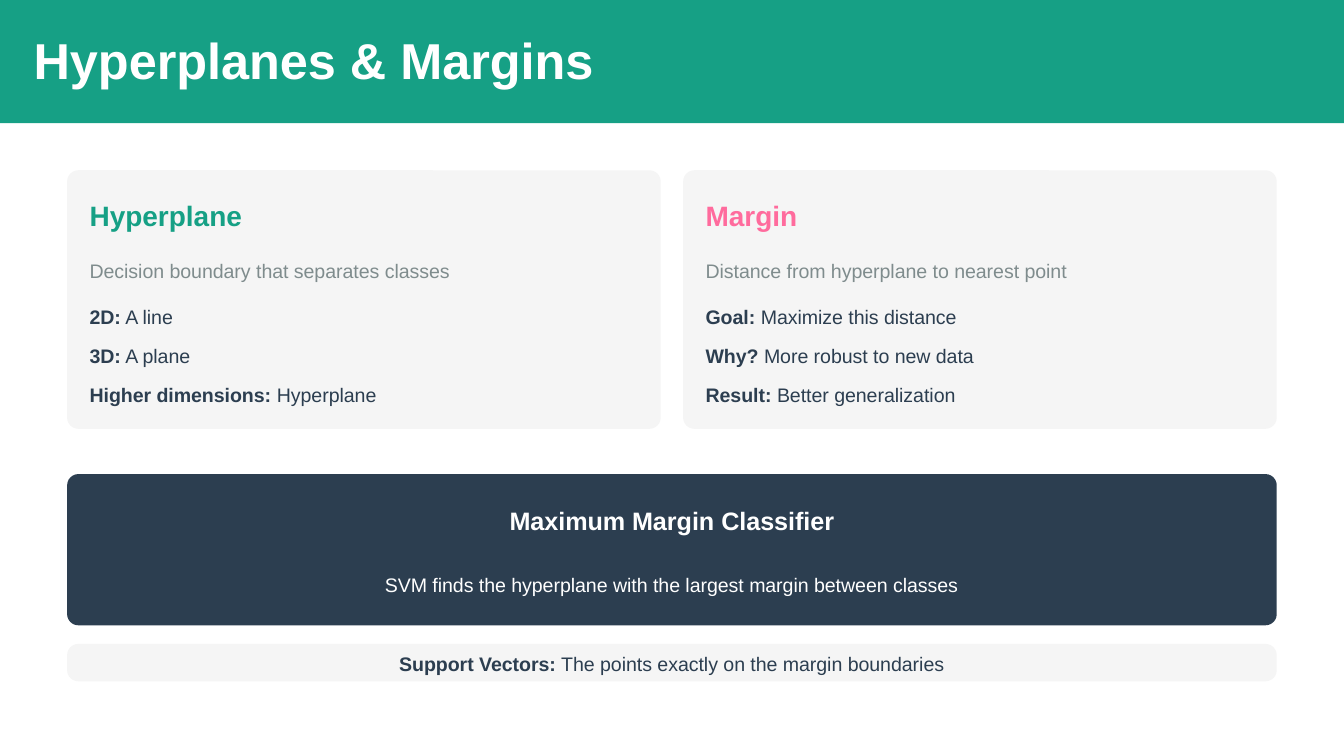
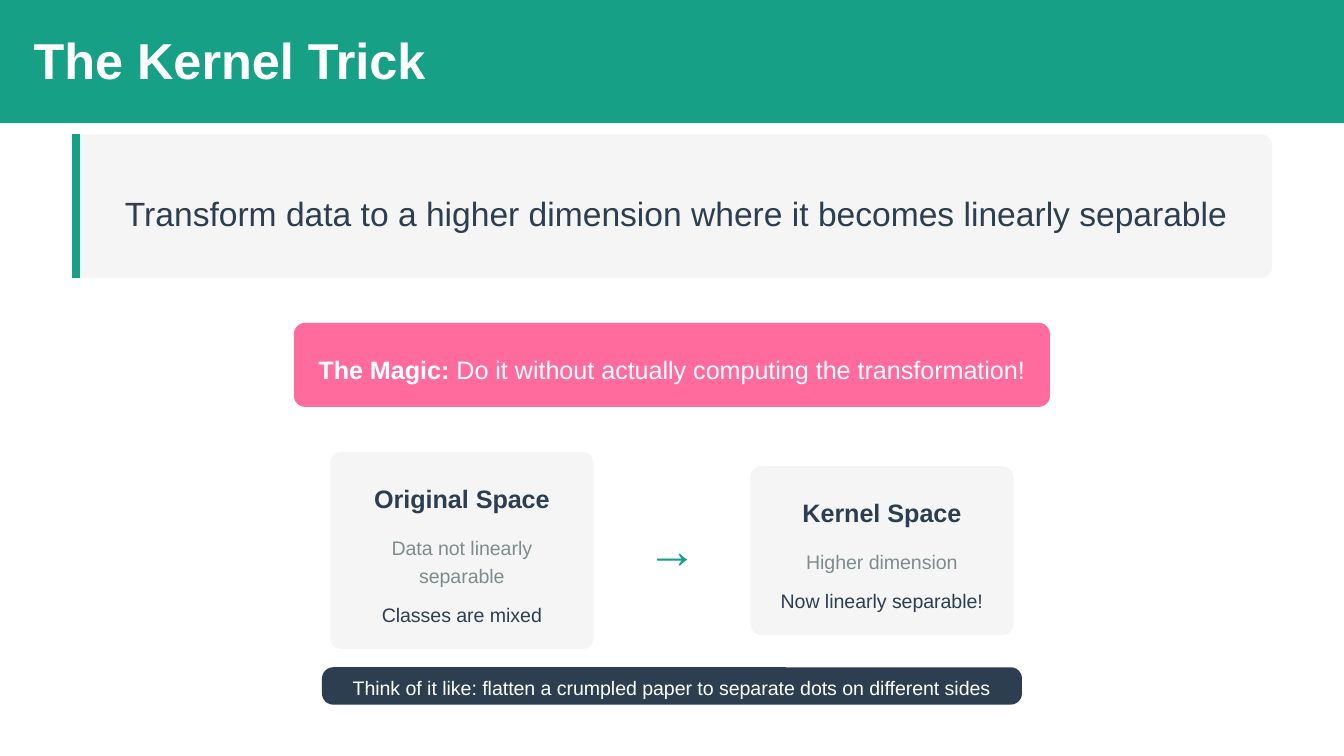
from collections import namedtuple

from lxml import etree
from pptx import Presentation
from pptx.dml.color import RGBColor
from pptx.enum.shapes import MSO_CONNECTOR as Link, MSO_SHAPE as Kind
from pptx.enum.text import PP_ALIGN as Align
from pptx.oxml.ns import qn
from pptx.util import Pt

GREEN = RGBColor(0x16, 0xA0, 0x85)
PINK = RGBColor(0xFF, 0x6B, 0x9D)
NAVY = RGBColor(0x2C, 0x3E, 0x50)
GRAY = RGBColor(0x7F, 0x8C, 0x8D)
PALE = RGBColor(0xF5, 0xF5, 0xF5)
WHITE = RGBColor(0xFF, 0xFF, 0xFF)

FONT = "Arial"
WIDE, HIGH = 720, 405
RADIUS = 6
PAD = 12

Box = namedtuple("Box", "x y w h")
# Type styles: size, line spacing, bold
Style = namedtuple("Style", "size line bold")
TITLE = Style(27, 30, True)
ARROW = Style(27, 30, False)
QUOTE = Style(18, 28.8, False)
TOPIC = Style(15, 21, True)
HEAD = Style(13.5, 21, True)
LEAD = Style(13.5, 21, False)
BODY = Style(10.5, 15, False)


def centre(y, w, h, mid=WIDE / 2):
    return Box(mid - w / 2, y, w, h)


def panel(slide, box, fill, kind=Kind.ROUNDED_RECTANGLE):
    shape = slide.shapes.add_shape(kind, *map(Pt, box))
    shape.shadow.inherit = False
    shape.fill.solid()
    shape.fill.fore_color.rgb = fill
    shape.line.fill.background()
    if kind == Kind.ROUNDED_RECTANGLE:
        shape.adjustments[0] = RADIUS / box.h


def write(slide, box, text, style, color, align=Align.CENTER, lead=""):
    """Place one paragraph, with an optional bold lead-in."""
    frame = slide.shapes.add_textbox(*map(Pt, box)).text_frame
    frame.word_wrap = True
    frame.margin_left = frame.margin_right = 0
    frame.margin_top = frame.margin_bottom = 0
    para = frame.paragraphs[0]
    para.alignment = align
    para.line_spacing = Pt(style.line)
    font = para.font
    font.name, font.size, font.bold = FONT, Pt(style.size), style.bold
    font.color.rgb = color
    if lead:
        run = para.add_run()
        run.text = lead
        run.font.bold = True
        text = " " + text
    para.add_run().text = text


def header(slide, title):
    panel(slide, Box(0, 0, WIDE, 66), GREEN, Kind.RECTANGLE)
    write(slide, Box(18, 18, 350, 30), title, TITLE, WHITE, Align.LEFT)


def strip(slide, box, fill, color, text, lead=""):
    """Thin bar with one centred line inside its padding."""
    panel(slide, box, fill)
    place = Box(box.x + PAD, box.y + 2, box.w - 2 * PAD, 15)
    write(slide, place, text, BODY, color, lead=lead)


# Term card: topic, definition, list of facts
def term(slide, box, topic, color, about, facts):
    panel(slide, box, PALE)

    def row(top, *args, h=15, **more):
        place = Box(box.x + PAD, box.y + top, box.w - 18, h)
        write(slide, place, *args, Align.LEFT, **more)

    row(PAD, topic, TOPIC, color, h=21)
    row(45, about, BODY, GRAY)
    for i, (lead, text) in enumerate(facts):
        row(69.5 + 21 * i, text, BODY, NAVY, lead=lead)


def banner(slide, box, head, text):
    panel(slide, box, NAVY)
    write(slide, centre(box.y + PAD, 178.5, 21), head, HEAD, WHITE)
    write(slide, centre(box.y + 50.75, 315.5, 15), text, BODY, WHITE)


# Quote box with an accent edge on the left
def quote(slide, box, text):
    edge = 4.5
    panel(slide, box, PALE)
    x = box.x + edge / 2
    line = slide.shapes.add_connector(
        Link.STRAIGHT, Pt(x), Pt(box.y), Pt(x), Pt(box.y + box.h))
    line.line.color.rgb = GREEN
    line.line.width = Pt(edge)
    etree.SubElement(line._element.spPr, qn("a:effectLst"))
    mid = box.x + (box.w + edge) / 2
    write(slide, centre(box.y + 24.25, 602.5, 28.8, mid), text, QUOTE, NAVY)


def magic(slide, box, lead, text):
    panel(slide, box, PINK)
    write(slide, centre(box.y + PAD, 388, 21), text, LEAD, WHITE, lead=lead)


# Space card: grows with the lines of its note, centred on (mid, level)
def space(slide, mid, level, head, note, lines, state):
    tall = 75.5 + 15 * lines
    box = centre(level - tall / 2, 141, tall, mid)
    panel(slide, box, PALE)
    rows = [(PAD, 21, head, HEAD, NAVY),
            (42.5, 15 * lines, note, BODY, GRAY),
            (48.5 + 15 * lines, 15, state, BODY, NAVY)]
    for top, h, *rest in rows:
        write(slide, centre(box.y + top, 119.5, h, mid), *rest)


def spaces(slide, level, reach, left, right):
    space(slide, WIDE / 2 - reach, level, *left)
    write(slide, centre(level - 15, 27.5, 30), "→", ARROW, GREEN)
    space(slide, WIDE / 2 + reach, level, *right)


def margins(slide):
    header(slide, "Hyperplanes & Margins")
    cards = [
        ("Hyperplane", GREEN, "Decision boundary that separates classes",
         [("2D:", "A line"), ("3D:", "A plane"),
          ("Higher dimensions:", "Hyperplane")]),
        ("Margin", PINK, "Distance from hyperplane to nearest point",
         [("Goal:", "Maximize this distance"),
          ("Why?", "More robust to new data"),
          ("Result:", "Better generalization")]),
    ]
    for i, card in enumerate(cards):
        term(slide, Box(36 + 330 * i, 91.25, 318, 138.5), *card)
    banner(slide, Box(36, 254, 648, 81), "Maximum Margin Classifier",
           "SVM finds the hyperplane with the largest margin between classes")
    strip(slide, Box(36, 345, 648, 20), PALE, NAVY,
          "The points exactly on the margin boundaries", "Support Vectors:")


def kernel(slide):
    header(slide, "The Kernel Trick")
    quote(slide, centre(72, 643, 77), "Transform data to a higher "
          "dimension where it becomes linearly separable")
    magic(slide, centre(173, 405, 45), "The Magic:",
          "Do it without actually computing the transformation!")
    spaces(slide, 295, 112.5,
           ("Original Space", "Data not linearly separable", 2,
            "Classes are mixed"),
           ("Kernel Space", "Higher dimension", 1, "Now linearly separable!"))
    strip(slide, centre(357.5, 375, 20), NAVY, WHITE, "Think of it like: "
          "flatten a crumpled paper to separate dots on different sides")


def main():
    deck = Presentation()
    deck.slide_width, deck.slide_height = Pt(WIDE), Pt(HIGH)
    for build in (margins, kernel):
        build(deck.slides.add_slide(deck.slide_layouts[6]))
    deck.save("out.pptx")


if __name__ == "__main__":
    main()
